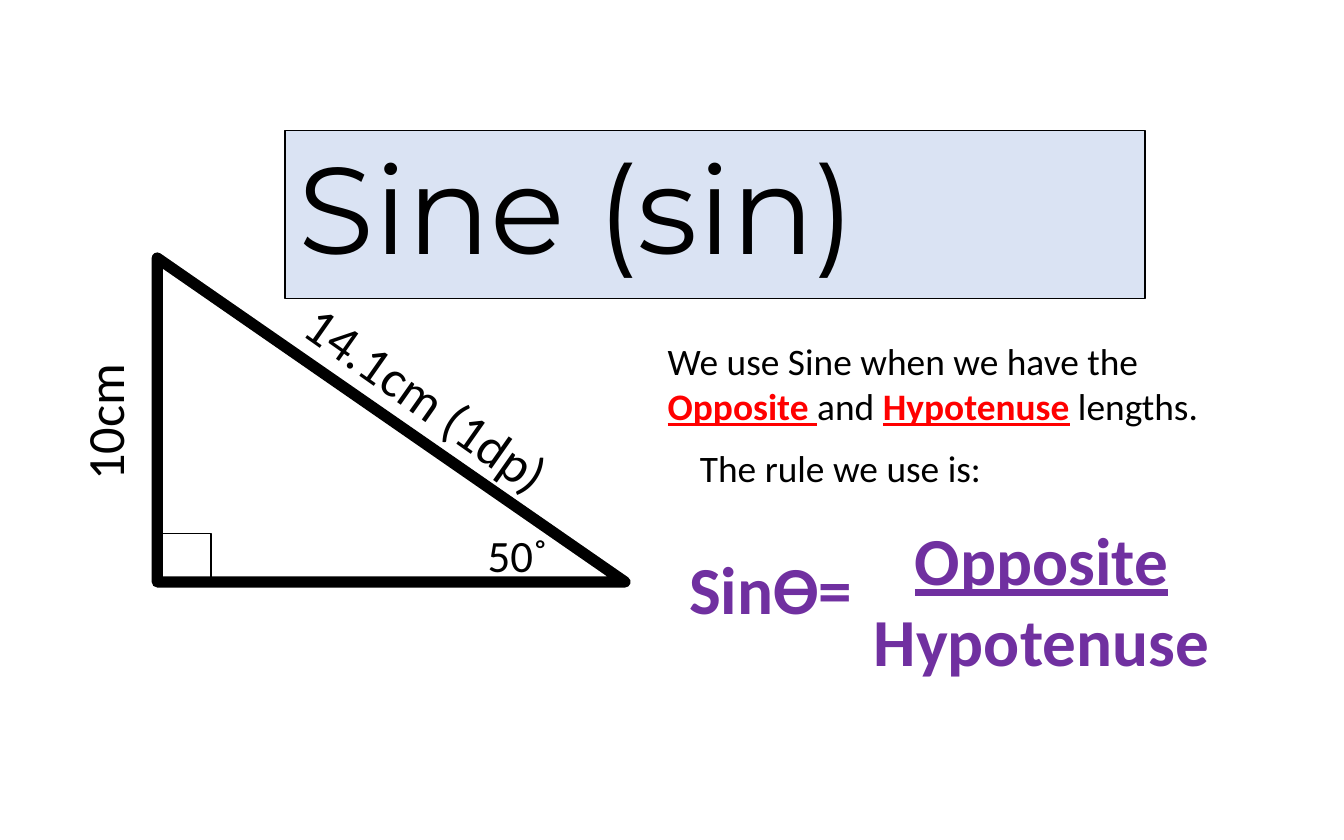
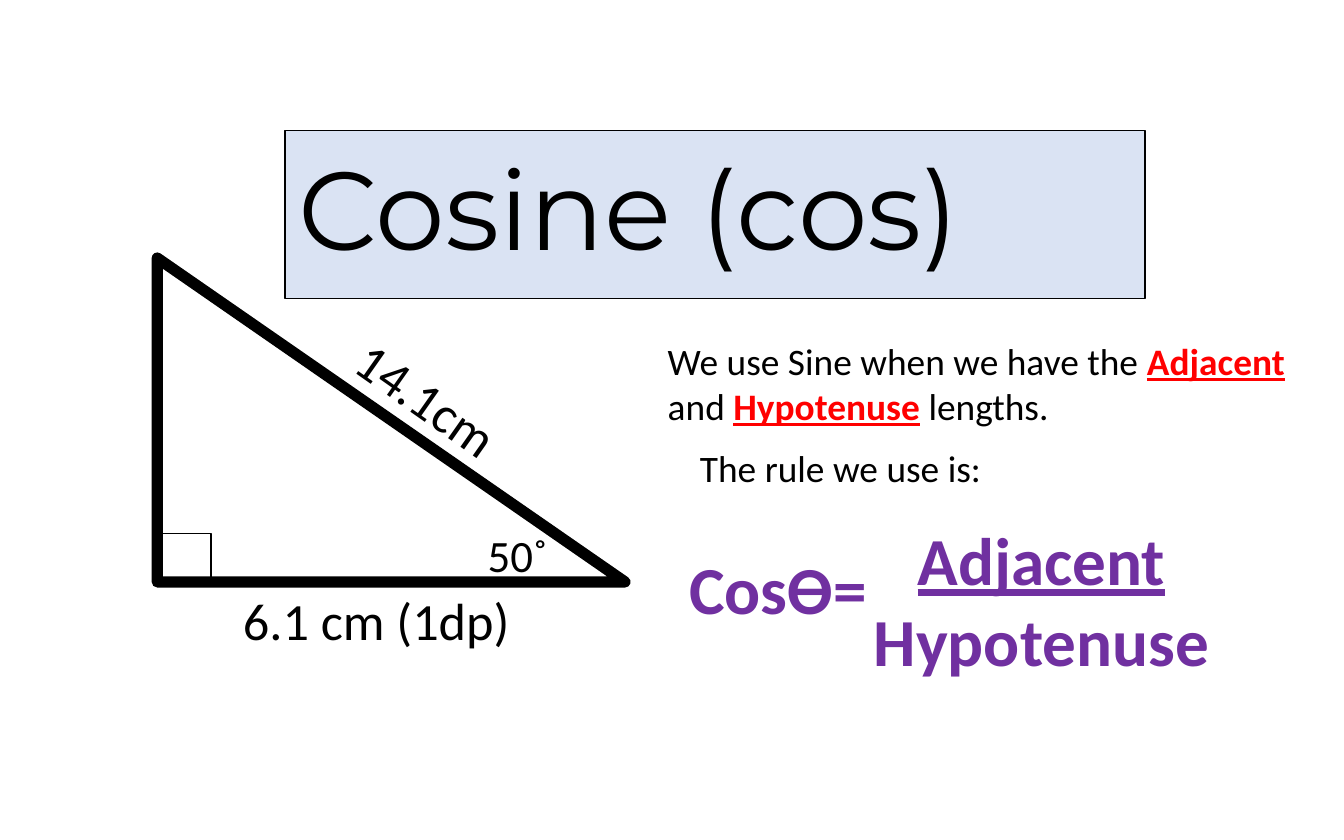
"""Build two slides on the sine and cosine rules."""
from pptx import Presentation
from pptx import util as u
from pptx.dml.color import RGBColor
from pptx.enum import shapes, text

BLACK = RGBColor(0, 0, 0)
RED = RGBColor(0xFF, 0, 0)
PURPLE = RGBColor(0x70, 0x30, 0xA0)
PALE = RGBColor(0xDA, 0xE3, 0xF3)
WIDE, HIGH = 10, 6.25
LEFT, TOP, BASE, RISE = 1.17, 1.92, 3.48, 2.41
FLOOR = TOP + RISE
SLOPE = 35.2
KEY = dict(color=RED, bold=True, line=True)
RULE = dict(size=36, color=PURPLE, bold=True)

UPRIGHT = dict(box=(0.23, 2.85, 1.08, 0.57), turn=270, wrap=False)
BELOW = dict(box=(1.71, FLOOR, 2.54, 0.57))

SLIDES = [
    dict(title="Sine (sin)", size=66, long="14.1cm (1dp)",
         side="10cm", place=UPRIGHT, short="Sin", top="Opposite"),
    dict(title="Cosine (cos)", size=59.4, long="14.1cm",
         side="6.1 cm (1dp)", place=BELOW, short="Cos", top="Adjacent"),
]


def style(font, size=28, face="Calibri", color=BLACK, bold=False, line=False):
    font.name, font.size = face, u.Pt(size)
    font.color.rgb = color
    font.bold, font.underline = bold, line


def write(tree, rows, box, turn=0, wrap=True, mid=False, **look):
    """Add a text box; rows are lists of (words, changes to the look)."""
    item = tree.add_textbox(*map(u.Inches, box))
    item.rotation = turn
    frame = item.text_frame
    frame.word_wrap = wrap
    frame.auto_size = text.MSO_AUTO_SIZE.SHAPE_TO_FIT_TEXT
    for i, row in enumerate(rows):
        para = frame.add_paragraph() if i else frame.paragraphs[0]
        para.alignment = text.PP_ALIGN.CENTER if mid else text.PP_ALIGN.LEFT
        for words, change in row:
            run = para.add_run()
            run.text = words
            style(run.font, **{**look, **change})


def outline(tree, kind, box, width):
    item = tree.add_shape(kind, *map(u.Inches, box))
    item.shadow.inherit = False
    item.fill.background()
    item.line.color.rgb = BLACK
    item.line.width = u.Pt(width)


def head(slide, words, size):
    title = slide.shapes.title
    title.left, title.top, title.width, title.height = map(
        u.Inches, (2.12, 0.97, 6.4, HIGH / 5))
    title.fill.solid()
    title.fill.fore_color.rgb = PALE
    title.line.color.rgb = BLACK
    title.line.width = u.Pt(0.75)
    frame = title.text_frame
    frame.text = words
    frame.word_wrap = True
    frame.auto_size = text.MSO_AUTO_SIZE.NONE
    frame.vertical_anchor = text.MSO_ANCHOR.MIDDLE
    para = frame.paragraphs[0]
    para.alignment, para.line_spacing = text.PP_ALIGN.LEFT, 0.9
    style(para.runs[0].font, size, "Montserrat")


def triangle(tree):
    kind = shapes.MSO_SHAPE
    group = tree.add_group_shape().shapes
    outline(group, kind.RIGHT_TRIANGLE, (LEFT, TOP, BASE, RISE), 6)
    outline(group, kind.RECTANGLE, (LEFT, FLOOR - 0.36, 0.4, 0.36), 1)
    write(group, [[("50˚", {})]], (3.53, 3.88, 0.65, 0.5), wrap=False, size=24)


def build(deck, part):
    slide = deck.slides.add_slide(deck.slide_layouts[5])
    tree = slide.shapes
    head(slide, part["title"], part["size"])
    triangle(tree)
    write(tree, [[(part["long"], {})]], (1.84, 2.68, 2.68, 0.57),
          turn=SLOPE, mid=True)
    write(tree, [[(part["side"], {})]], **part["place"])
    use = [("We use Sine when we have the ", {}), (part["top"] + " ", KEY),
           ("and ", {}), ("Hypotenuse", KEY), (" lengths.", {})]
    write(tree, [use], (4.87, 2.47, 4.8, 0.77), size=20)
    write(tree, [[("The rule we use is:", {})]], (5.11, 3.26, 4.57, 0.44),
          size=20)
    write(tree, [[(part["short"] + "ϴ=", {})]], (5.03, 4.02, 1.57, 0.71),
          **RULE)
    write(tree, [[(part["top"], dict(line=True))], [("Hypotenuse", {})]],
          (6.37, 3.81, 2.76, 1.31), mid=True, **RULE)


def main():
    deck = Presentation()
    deck.slide_width, deck.slide_height = u.Inches(WIDE), u.Inches(HIGH)
    for part in SLIDES:
        build(deck, part)
    deck.save("out.pptx")


if __name__ == "__main__":
    main()
